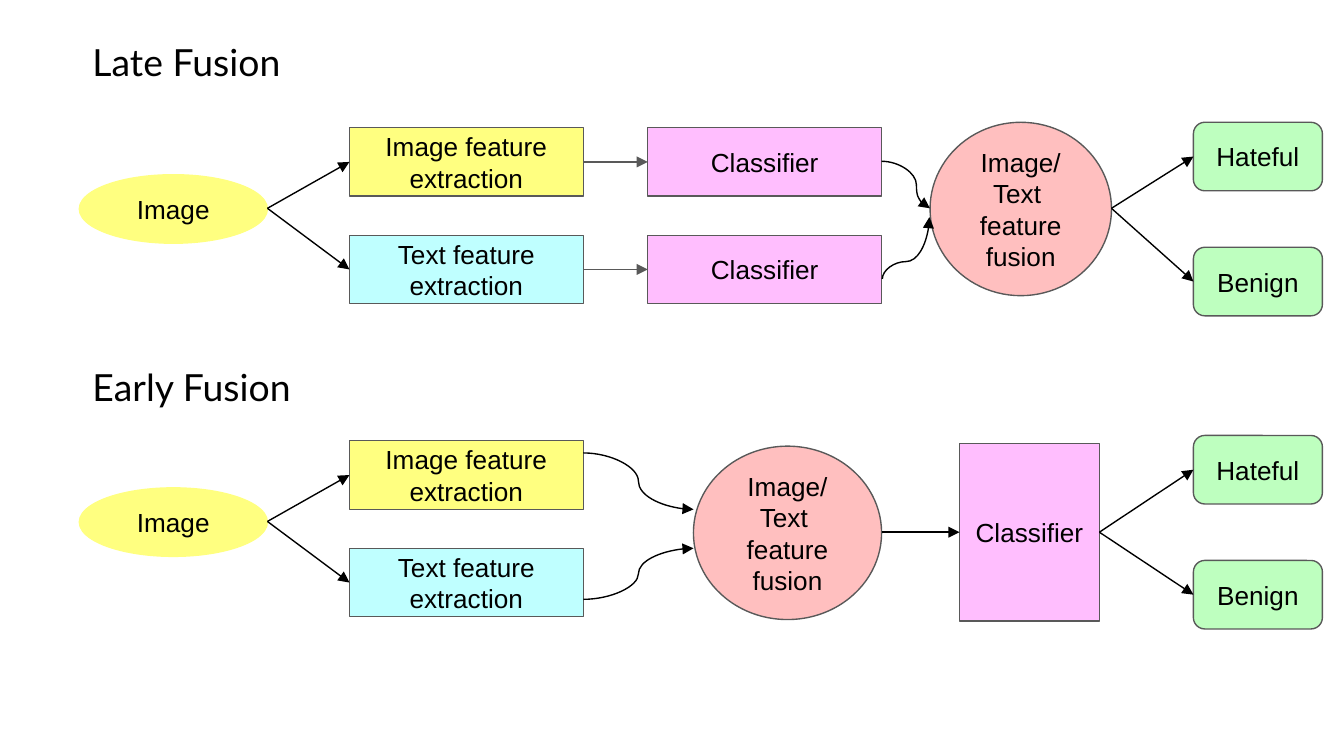
from lxml import etree
from pptx import Presentation
from pptx.dml.color import RGBColor
from pptx.enum import shapes, text
from pptx.oxml import ns
from pptx.util import Inches, Pt

BLACK = RGBColor(0x00, 0x00, 0x00)
GRAY = RGBColor(0x59, 0x59, 0x59)
YELLOW = RGBColor(0xFF, 0xFF, 0x80)
CYAN = RGBColor(0xBF, 0xFF, 0xFF)
PINK = RGBColor(0xFF, 0xBE, 0xFE)
SALMON = RGBColor(0xFF, 0xBF, 0xBF)
GREEN = RGBColor(0xBE, 0xFF, 0xBF)

RECT = shapes.MSO_SHAPE.RECTANGLE
ROUND = shapes.MSO_SHAPE.ROUNDED_RECTANGLE
OVAL = shapes.MSO_SHAPE.OVAL
LEFT, RIGHT = 1, 3

TITLES = [("Late Fusion", 0.19, 4.04), ("Early Fusion", 2.61, 2.1)]
FEATURES = [("Image feature extraction", YELLOW), ("Text feature extraction", CYAN)]
OUTPUTS = ["Hateful", "Benign"]
FUSION = ["Image/ Text ", "feature fusion"]
LATE_Y, EARLY_Y = 0.91, 3.24
BOX_W, BOX_H = 1.74, 0.51
FEATURE_X, LATE_CLASSIFIER_X, OUTPUT_X = 2.6, 4.82, 8.88
FEATURE_STEP, OUTPUT_STEP = 0.8, 0.93

prs = Presentation()
prs.slide_width = Inches(10)
prs.slide_height = prs.slide_width * 9 // 16
s = prs.slides.add_slide(prs.slide_layouts[6])


def write(tf, lines, size=14, font="Arial", align=text.PP_ALIGN.CENTER,
          anchor=text.MSO_ANCHOR.MIDDLE):
    tf.word_wrap = True
    tf.vertical_anchor = anchor
    tf.margin_left = tf.margin_right = tf.margin_top = tf.margin_bottom = Inches(0.1)
    for i, line in enumerate(lines):
        p = tf.paragraphs[0] if i == 0 else tf.add_paragraph()
        p.alignment = align
        r = p.add_run()
        r.text = line
        r.font.size, r.font.name = Pt(size), font
        r.font.color.rgb = BLACK


def node(kind, x, y, w, h, lines, fill, line=GRAY):
    sp = s.shapes.add_shape(kind, *map(Inches, (x, y, w, h)))
    sp.shadow.inherit = False
    sp.fill.solid()
    sp.fill.fore_color.rgb = fill
    sp.line.color.rgb = line
    sp.line.width = Pt(0.75)
    write(sp.text_frame, lines)
    return sp


def arrow(start, end, color=BLACK, curve=False, bend=None, turn=0):
    kind = shapes.MSO_CONNECTOR.CURVE if curve else shapes.MSO_CONNECTOR.STRAIGHT
    joined = [isinstance(e, tuple) for e in (start, end)]
    points = [(0, 0) if j else e for j, e in zip(joined, (start, end))]
    c = s.shapes.add_connector(kind, *[Inches(v) for pt in points for v in pt])
    if joined[0]:
        c.begin_connect(*start)
    if joined[1]:
        c.end_connect(*end)
    c.line.color.rgb = color
    c.line.width = Pt(0.75)
    pr = c._element.spPr
    etree.SubElement(pr.find(ns.qn("a:ln")), ns.qn("a:tailEnd"), type="triangle")
    etree.SubElement(pr, ns.qn("a:effectLst"))
    if turn:
        pr.find(ns.qn("a:xfrm")).set("rot", str(turn * 60000))
    if bend:
        guides = pr.find(ns.qn("a:prstGeom")).get_or_add_avLst()
        etree.SubElement(guides, ns.qn("a:gd"), name="adj1", fmla=f"val {round(bend * 100000)}")


def pipeline_ends(y):
    node(OVAL, 0.59, y + 0.39, 1.4, BOX_H, ["Image"], YELLOW, line=YELLOW)
    features = []
    for i, (label, fill) in enumerate(FEATURES):
        box = node(RECT, FEATURE_X, y + 0.04 + i * FEATURE_STEP, BOX_W, BOX_H, [label], fill)
        arrow([1.99, y + 0.64], (box, LEFT))
        features.append(box)
    outputs = [node(ROUND, OUTPUT_X, y + i * OUTPUT_STEP, 0.96, BOX_H, [label], GREEN)
               for i, label in enumerate(OUTPUTS)]
    return features, outputs


for title, y, w in TITLES:
    tb = s.shapes.add_textbox(*map(Inches, (0.59, y, w, 0.54)))
    write(tb.text_frame, [title], size=20, font="Lato", align=text.PP_ALIGN.LEFT,
          anchor=text.MSO_ANCHOR.TOP)

features, outputs = pipeline_ends(LATE_Y)
for i, feature in enumerate(features):
    classifier = node(RECT, LATE_CLASSIFIER_X, LATE_Y + 0.04 + i * FEATURE_STEP,
                      BOX_W, BOX_H, ["Classifier"], PINK)
    arrow((feature, RIGHT), (classifier, LEFT), color=GRAY)
node(OVAL, 6.92, LATE_Y, 1.35, 1.29, FUSION, SALMON)
arrow([6.56, 1.2], [6.92, 1.55], curve=True, bend=0.72)
arrow([6.51, 1.67], [6.97, 2.02], curve=True, bend=0.28, turn=270)
for output in outputs:
    arrow([8.27, 1.55], (output, LEFT))

features, outputs = pipeline_ends(EARLY_Y)
node(OVAL, 5.16, 3.32, 1.4, 1.29, FUSION, SALMON)
classifier = node(RECT, 7.14, 3.3, 1.04, 1.32, ["Classifier"], PINK)
arrow([4.34, 3.37], [5.16, 3.79], curve=True)
arrow([4.34, 4.46], [5.16, 4.08], curve=True)
arrow([6.56, 3.96], (classifier, LEFT))
for output in outputs:
    arrow((classifier, RIGHT), (output, LEFT))

prs.save("out.pptx")
